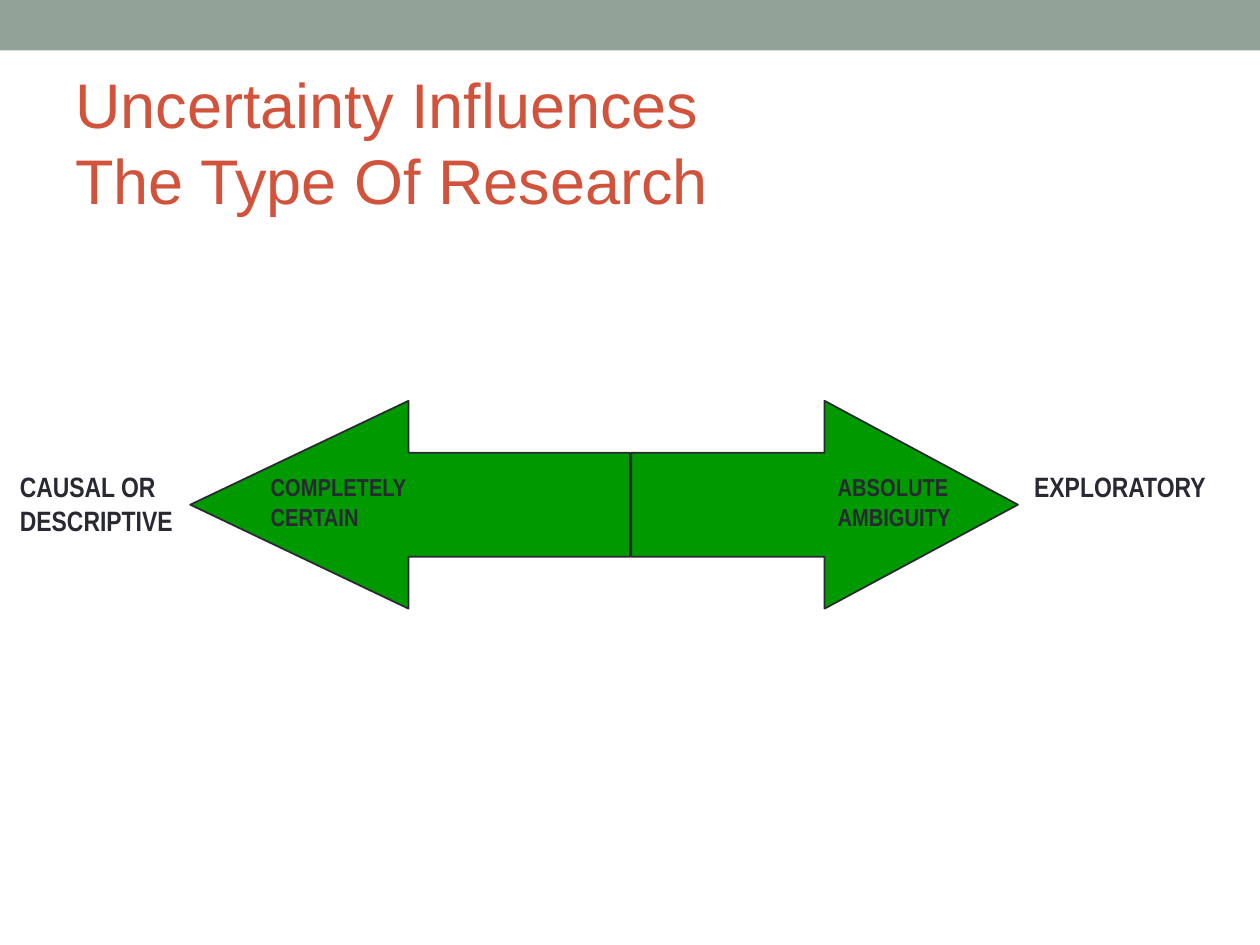
from pptx import Presentation
from pptx import util as u
from pptx.dml.color import RGBColor
from pptx.enum import shapes, text

SLIDE_SIZE = (720, 540)
INK, GREEN, RED, SAGE = "292934", "009900", "D2533C", "93A299"

# Content: text lines, box (left, top, width, height), font values
TITLE = (["Uncertainty Influences ", "The Type Of Research"], (36, 41.76, 648, 77.76))
TITLE_FONT = {"name": "Arial", "size": u.Pt(36), "bold": False}
LABELS = [
    (["COMPLETELY", "CERTAIN"], (147.6, 266.4, 92.9, 41), 14),
    (["ABSOLUTE", "AMBIGUITY"], (471.6, 266.4, 79.2, 41), 14),
    (["CAUSAL OR", "DESCRIPTIVE"], (4.3, 265, 101.5, 45.4), 16),
    (["EXPLORATORY"], (583.9, 265, 114.5, 26.6), 16),
]

# Arrows meet at the middle: shape, left, width, head length ratio
ARROW_TOP, ARROW_HEIGHT = 229, 118.8
ARROWS = [
    (shapes.MSO_SHAPE.RIGHT_ARROW, 360.7, 221, 0.93),
    (shapes.MSO_SHAPE.LEFT_ARROW, 108.7, 251.3, 1.05),
]


def color(value):
    return RGBColor.from_string(value)


def points(*values):
    return [u.Pt(value) for value in values]


def add_filled(slide, kind, box, fill, line=None):
    shape = slide.shapes.add_shape(kind, *points(*box))
    shape.shadow.inherit = False
    shape.fill.solid()
    shape.fill.fore_color.rgb = color(fill)
    if line:
        shape.line.color.rgb = color(line)
        shape.line.width = u.Pt(1)
    else:
        shape.line.fill.background()
    return shape


def add_text(slide, lines, box, font, ink, frame_format):
    frame = slide.shapes.add_textbox(*points(*box)).text_frame
    for name, value in frame_format.items():
        setattr(frame, name, value)
    frame.text = "\n".join(lines)
    for paragraph in frame.paragraphs:
        for name, value in font.items():
            setattr(paragraph.font, name, value)
        paragraph.font.color.rgb = color(ink)


def main():
    presentation = Presentation()
    presentation.slide_width, presentation.slide_height = points(*SLIDE_SIZE)
    slide = presentation.slides.add_slide(presentation.slide_layouts[6])

    # Top band
    add_filled(slide, shapes.MSO_SHAPE.RECTANGLE, (0, 0, SLIDE_SIZE[0], 28.8), SAGE)

    # Certainty scale
    for kind, left, width, head in ARROWS:
        arrow = add_filled(slide, kind, (left, ARROW_TOP, width, ARROW_HEIGHT), GREEN, INK)
        arrow.adjustments[0] = 0.5
        arrow.adjustments[1] = head

    # Labels on and beside the arrows
    label_frame = {"word_wrap": False, "auto_size": text.MSO_AUTO_SIZE.SHAPE_TO_FIT_TEXT}
    for lines, box, size in LABELS:
        font = {"name": "Arial Narrow", "size": u.Pt(size), "bold": True}
        add_text(slide, lines, box, font, INK, label_frame)

    # Title
    title_frame = {"word_wrap": True, "auto_size": text.MSO_AUTO_SIZE.NONE,
                   "vertical_anchor": text.MSO_ANCHOR.MIDDLE}
    add_text(slide, *TITLE, TITLE_FONT, RED, title_frame)

    presentation.save("out.pptx")


if __name__ == "__main__":
    main()
